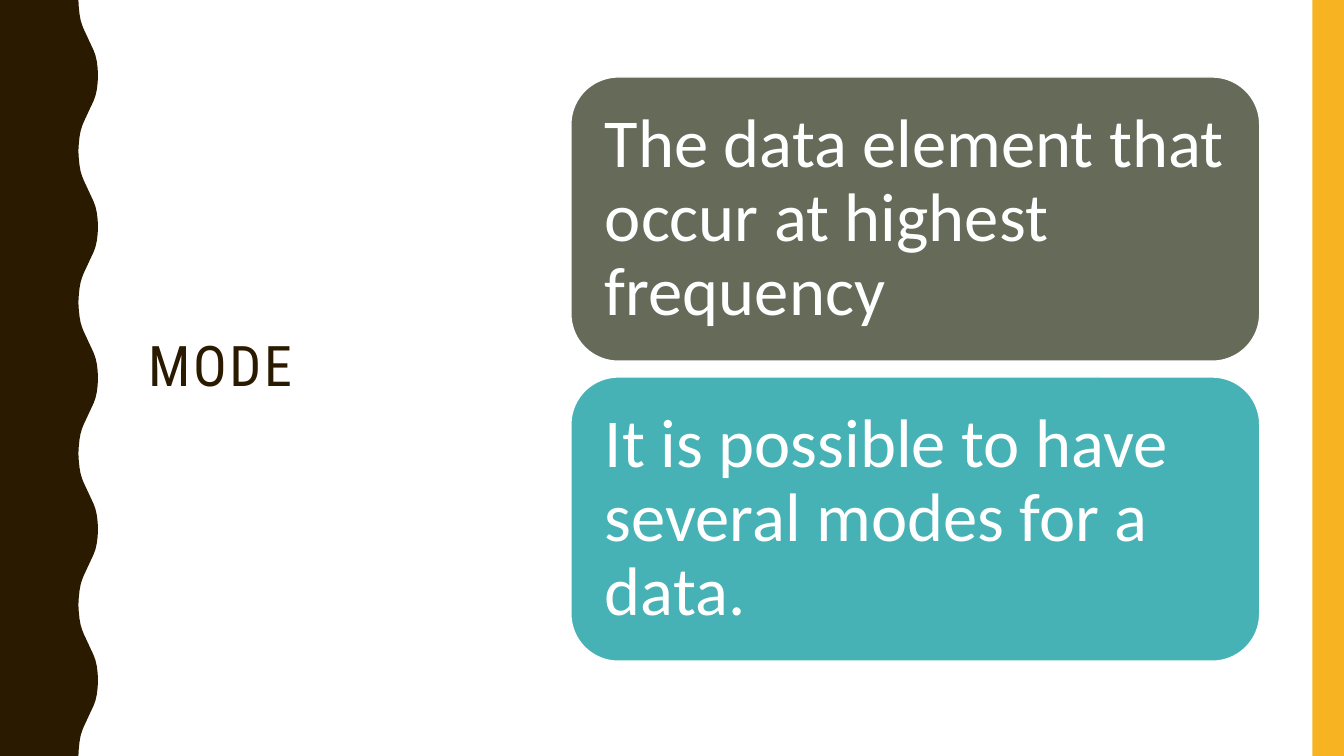
from pptx import Presentation
from pptx.dml.color import RGBColor
from pptx.enum.shapes import MSO_SHAPE
from pptx.enum.text import MSO_ANCHOR, MSO_AUTO_SIZE, PP_ALIGN
from pptx.util import Pt

RECT, ROUND_RECT = MSO_SHAPE.RECTANGLE, MSO_SHAPE.ROUNDED_RECTANGLE
MIDDLE, LEFT, NO_AUTOFIT = MSO_ANCHOR.MIDDLE, PP_ALIGN.LEFT, MSO_AUTO_SIZE.NONE


class Theme:
    brown = RGBColor.from_string("2A1A00")
    yellow = RGBColor.from_string("F8B323")
    olive = RGBColor.from_string("656A59")
    teal = RGBColor.from_string("46B2B5")
    white = RGBColor.from_string("FFFFFF")
    title_font, title_size = "Roboto Condensed", Pt(40)
    body_font, body_size = "Calibri", Pt(49)


def paint(sp, color):
    sp.shadow.inherit = False
    sp.fill.solid()
    sp.fill.fore_color.rgb = color
    sp.line.fill.background()


def write(sp, text, font, size, color):
    """Set one left-aligned, vertically centred paragraph and return its run."""
    tf = sp.text_frame
    tf.text = text
    tf.word_wrap = True
    tf.auto_size = NO_AUTOFIT
    tf.vertical_anchor = MIDDLE
    p = tf.paragraphs[0]
    p.alignment = LEFT
    p.line_spacing = 0.9
    r = p.runs[0]
    r.font.name, r.font.size, r.font.color.rgb = font, size, color
    return r


WIDTH, HEIGHT = 960, 540
prs = Presentation()
prs.slide_width, prs.slide_height = Pt(WIDTH), Pt(HEIGHT)
slide = prs.slides.add_slide(prs.slide_layouts[5])
shapes = slide.shapes

# Wavy left band: each wave is a half-wave going out and its mirror coming back
WAVES = 5
wave_height = HEIGHT / WAVES
half_wave = [
    (56, 0), (56.3, 5), (56.8, 10), (57.6, 14.4), (58.7, 18), (59.9, 21), (61.3, 24),
    (62.7, 27), (64.1, 30), (65.5, 33), (66.9, 36), (68.2, 39.6), (69.2, 44), (69.8, 49), (70, 54),
]
wave = half_wave + [(x, wave_height - y) for x, y in reversed(half_wave[:-1])]
edge = [(x, i * wave_height + y) for i in range(WAVES) for x, y in wave]
outline = [(Pt(x), Pt(y)) for x, y in edge + [(0, HEIGHT)]]
builder = shapes.build_freeform(0, 0)
builder.add_line_segments(outline, close=True)
paint(builder.convert_to_shape(), Theme.brown)

BAR_WIDTH = 22.5
bar = shapes.add_shape(RECT, Pt(WIDTH - BAR_WIDTH), 0, Pt(BAR_WIDTH), Pt(HEIGHT))
paint(bar, Theme.yellow)

title = shapes.title
title.left, title.top, title.width, title.height = Pt(98.6), Pt(50.4), Pt(266.4), Pt(426)
r = write(title, "MODE", Theme.title_font, Theme.title_size, Theme.brown)
r.font._element.set("spc", "200")

CARD_TOP, CARD_STEP = 55, 214.3
cards = [
    ("The data element that occur at highest frequency", Theme.olive),
    ("It is possible to have several modes for a data.", Theme.teal),
]
for i, (text, color) in enumerate(cards):
    card = shapes.add_shape(ROUND_RECT, Pt(407.8), Pt(CARD_TOP + i * CARD_STEP), Pt(492), Pt(203))
    paint(card, color)
    card.line.color.rgb = Theme.white
    card.line.width = Pt(1)
    tf = card.text_frame
    tf.margin_left = tf.margin_right = tf.margin_top = tf.margin_bottom = Pt(14.4)
    write(card, text, Theme.body_font, Theme.body_size, Theme.white)

prs.save("out.pptx")
